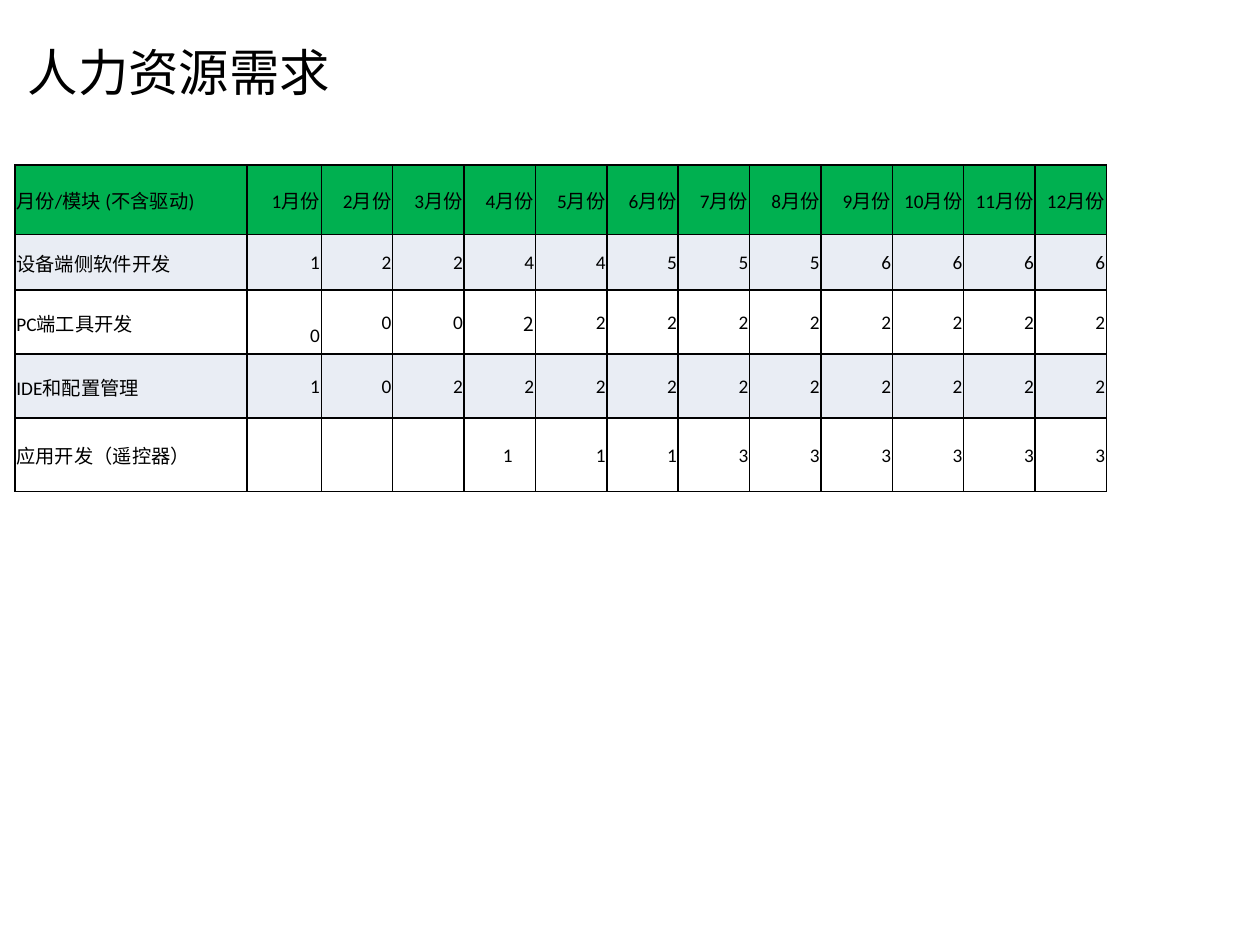
from lxml import etree
from pptx import Presentation
from pptx.dml.color import RGBColor
from pptx.enum import lang, text
from pptx.oxml import ns
from pptx.util import Pt

MONTHS = 12
STAFFING = {
    "设备端侧软件开发": [1, 2, 2, 4, 4, 5, 5, 5, 6, 6, 6, 6],
    "PC端工具开发": [0, 0, 0] + [2] * 9,
    "IDE和配置管理": [1, 0] + [2] * 10,
    "应用开发（遥控器）": [""] * 3 + [1] * 3 + [3] * 6,
}
COLUMN_WIDTHS = [132.5, 42.5] + [40.8] * (MONTHS - 1)
ROW_HEIGHTS = [39.6, 31.7, 36.7, 36.7, 41.8]


def color(value):
    return RGBColor.from_string(value)


def write(frame, content, size=11, font="Calibri", ink="000000", align=text.PP_ALIGN.LEFT):
    paragraph = frame.paragraphs[0]
    paragraph.alignment = align
    if content == "":
        paragraph.font.size = Pt(size)
        return
    run = paragraph.add_run()
    run.text = str(content)
    run.font.size = Pt(size)
    run.font.name = font
    run.font.color.rgb = color(ink)
    run.font.language_id = lang.MSO_LANGUAGE_ID.SIMPLIFIED_CHINESE


class Deck:
    header_fill = "00B050"
    band_fills = ("FFFFFF", "E9EDF4")
    border = "000000"

    def __init__(self, width, height):
        self.presentation = Presentation()
        self.presentation.slide_width = Pt(width)
        self.presentation.slide_height = Pt(height)
        self.slide = self.presentation.slides.add_slide(self.presentation.slide_layouts[0])
        subtitle = self.slide.placeholders[1].element
        subtitle.getparent().remove(subtitle)

    def title(self, content, left, top, width, height):
        heading = self.slide.shapes.title
        heading.left, heading.top = Pt(left), Pt(top)
        heading.width, heading.height = Pt(width), Pt(height)
        frame = heading.text_frame
        frame.auto_size = text.MSO_AUTO_SIZE.NONE
        frame.vertical_anchor = text.MSO_ANCHOR.MIDDLE
        write(frame, content, size=28.8)

    def cell(self, cell, content, fill, **style):
        cell.margin_left = cell.margin_right = cell.margin_top = Pt(0.75)
        cell.margin_bottom = 0
        cell.vertical_anchor = text.MSO_ANCHOR.MIDDLE
        properties = cell._tc.get_or_add_tcPr()
        for side in ("lnL", "lnR", "lnT", "lnB"):
            line = etree.SubElement(properties, ns.qn(f"a:{side}"), w=str(Pt(1)))
            solid = etree.SubElement(line, ns.qn("a:solidFill"))
            etree.SubElement(solid, ns.qn("a:srgbClr"), val=self.border)
        cell.fill.solid()
        cell.fill.fore_color.rgb = color(fill)
        write(cell.text_frame, content, **style)

    def table(self, rows, left, top, widths, heights, fonts):
        grid = self.slide.shapes.add_table(
            len(rows), len(widths), Pt(left), Pt(top), Pt(sum(widths)), Pt(sum(heights))
        ).table
        grid.first_row = grid.horz_banding = False
        for column, width in zip(grid.columns, widths):
            column.width = Pt(width)
        for r, (contents, height) in enumerate(zip(rows, heights)):
            grid.rows[r].height = Pt(height)
            fill = self.band_fills[r % 2] if r else self.header_fill
            for c, content in enumerate(contents):
                align = text.PP_ALIGN.RIGHT if c else text.PP_ALIGN.LEFT
                self.cell(grid.cell(r, c), content, fill, align=align,
                          font=fonts.get((r, c), "Calibri"))
        return grid


def main():
    deck = Deck(720, 540)
    deck.title("人力资源需求", 8.6, 20.9, 612, 39.6)
    header = ["月份/模块 (不含驱动)"] + [f"{month}月份" for month in range(1, MONTHS + 1)]
    rows = [header] + [[module, *counts] for module, counts in STAFFING.items()]
    staffing = deck.table(rows, 8.6, 94.3, COLUMN_WIDTHS, ROW_HEIGHTS,
                          fonts={(2, 4): "Noto Sans CJK SC"})
    staffing.cell(2, 1).margin_top = Pt(16)
    staffing.cell(4, 4).margin_right = Pt(13)
    deck.presentation.save("out.pptx")


if __name__ == "__main__":
    main()
